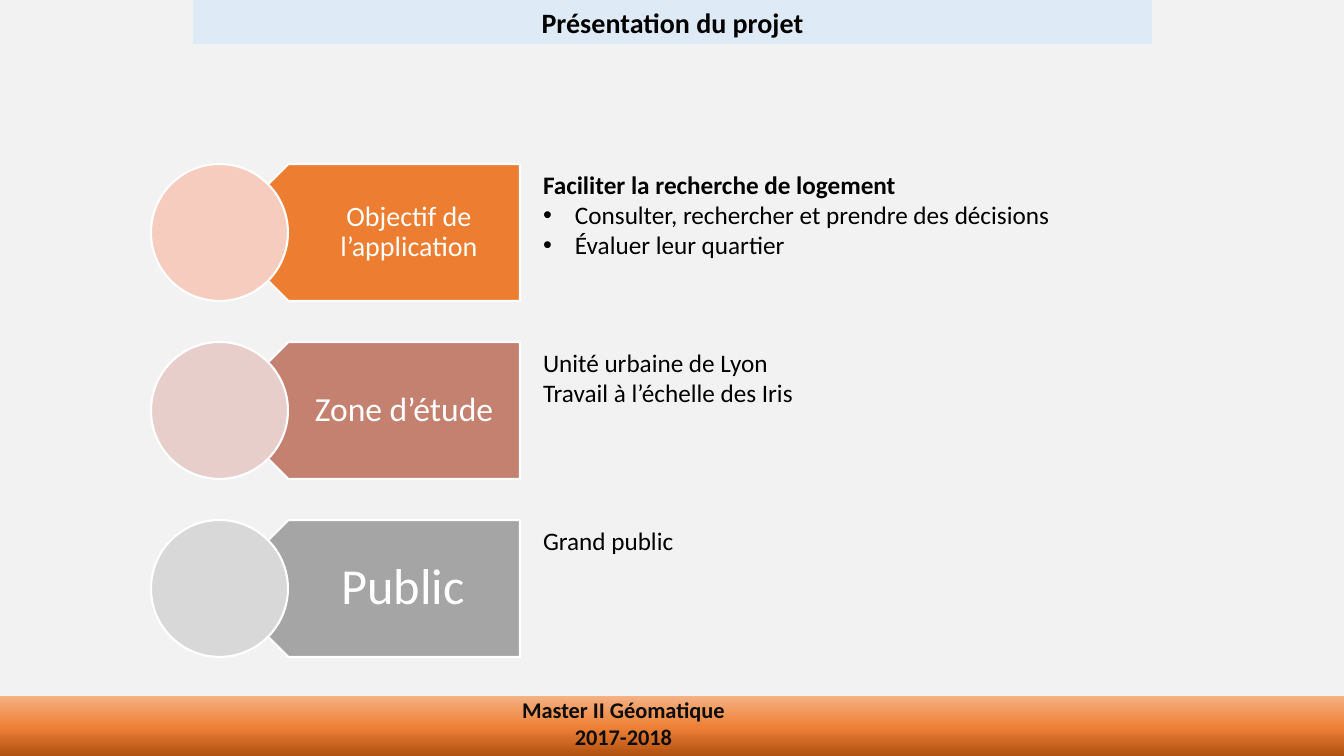
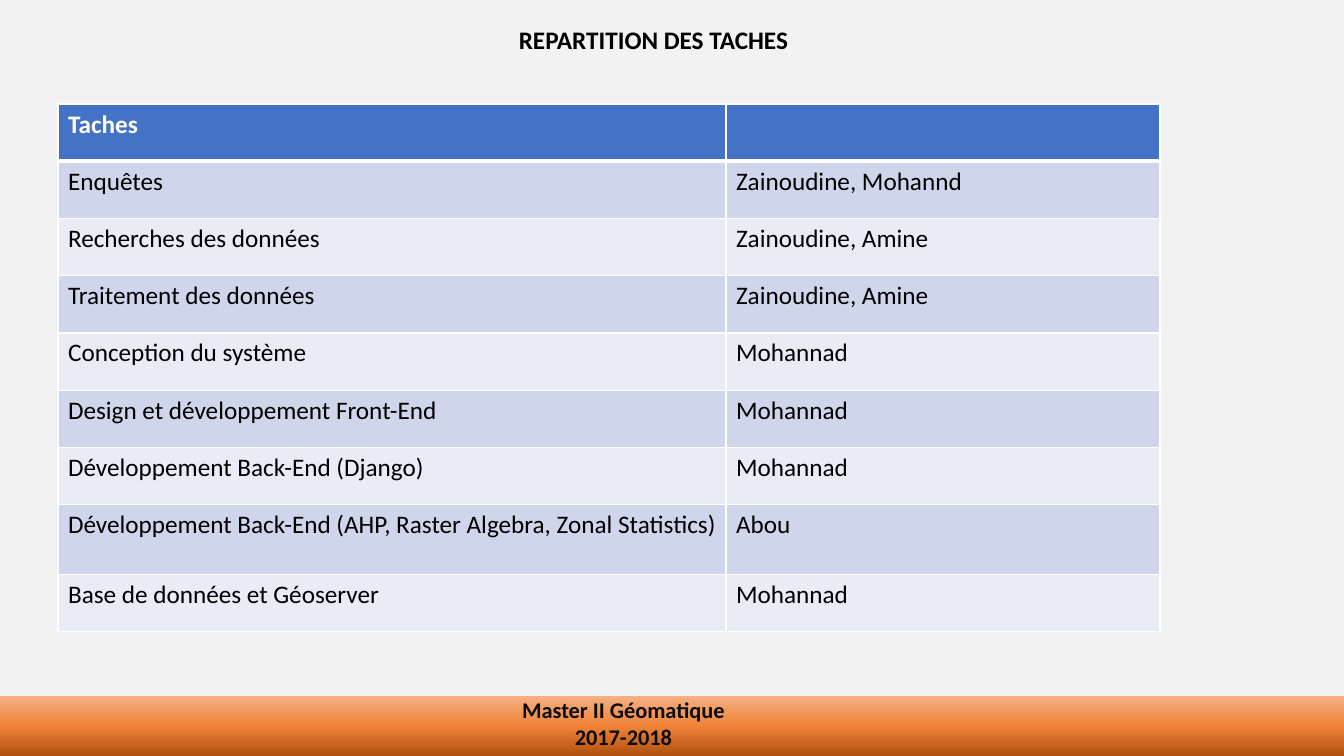
from lxml.etree import SubElement
from pptx import Presentation
from pptx.dml.color import RGBColor
from pptx.enum.shapes import MSO_SHAPE
from pptx.enum.text import MSO_ANCHOR, MSO_AUTO_SIZE, PP_ALIGN
from pptx.oxml import parse_xml
from pptx.oxml.ns import nsdecls, qn
from pptx.util import Emu, Pt

EMU_PER_PX = 914400 / 100.8
PAGE_WIDTH, PAGE_HEIGHT = 1344, 756
FONT = "Calibri"
COLORS = {
    "page": "F2F2F2",
    "black": "000000",
    "white": "FFFFFF",
    "footer_text": "0D0D0D",
    "band_dark": "B0500F",
    "band_middle": "EE8137",
    "band_light": "F4B183",
    "title_band": "DEEBF7",
    "orange": "ED7D31",
    "orange_pale": "F6CCBE",
    "brick": "C48170",
    "brick_pale": "E8CECB",
    "gray": "A5A5A5",
    "gray_pale": "D8D8D8",
    "table_header": "4472C4",
    "table_odd": "CFD5EA",
    "table_even": "E9EBF5",
}
TEXT = {"size": 18, "bold": False, "color": "black"}
STRONG = TEXT | {"bold": True}
HEADER = STRONG | {"color": "white"}
FOOTER = {"size": 16, "bold": True, "color": "footer_text"}

TOPICS = [
    {"label": "Objectif de l’application", "size": 20, "inset": 16,
     "fill": "orange", "pale": "orange_pale", "width": 773, "height": 102,
     "lines": [("Faciliter la recherche de logement", STRONG, False),
               ("Consulter, rechercher et prendre des décisions", TEXT, True),
               ("Évaluer leur quartier", TEXT, True)]},
    {"label": "Zone d’étude", "size": 24, "inset": 26,
     "fill": "brick", "pale": "brick_pale", "width": 320, "height": 72,
     "lines": [("Unité urbaine de Lyon", TEXT, False),
               ("Travail à l’échelle des Iris", TEXT, False)]},
    {"label": "Public", "size": 36, "inset": 28,
     "fill": "gray", "pale": "gray_pale", "width": 320, "height": 40,
     "lines": [("Grand public", TEXT, False)]},
]
TASKS = [
    ("Taches", ""),
    ("Enquêtes", "Zainoudine, Mohannd"),
    ("Recherches des données", "Zainoudine, Amine"),
    ("Traitement des données", "Zainoudine, Amine"),
    ("Conception du système", "Mohannad"),
    ("Design et développement Front-End", "Mohannad"),
    ("Développement Back-End (Django)", "Mohannad"),
    ("Développement Back-End (AHP, Raster Algebra, Zonal Statistics)", "Abou"),
    ("Base de données et Géoserver", "Mohannad"),
]
TALL_ROW, TALL_ROW_HEIGHT = 7, 70


def px(length):
    return Emu(round(length * EMU_PER_PX))


def color(name):
    return RGBColor.from_string(COLORS[name])


def place(shape, box):
    for name, length in zip(("left", "top", "width", "height"), box):
        setattr(shape, name, px(length))


def paint(shape, fill):
    shape.fill.solid()
    shape.fill.fore_color.rgb = color(fill)


def add_span(para, text, style):
    span = para.add_run()
    span.text = text
    values = {"name": FONT, "size": Pt(style["size"]), "bold": style["bold"]}
    for name, value in values.items():
        setattr(span.font, name, value)
    span.font.color.rgb = color(style["color"])


def set_bullet(para, bullet):
    properties = para._p.get_or_add_pPr()
    indent = px(32) if bullet else 0
    properties.set("marL", str(indent))
    properties.set("indent", str(-indent))
    if bullet:
        SubElement(properties, qn("a:buFont"), typeface="Arial")
        SubElement(properties, qn("a:buChar"), char="•")
    else:
        SubElement(properties, qn("a:buNone"))


def write(shape, lines, align=PP_ALIGN.LEFT, anchor=MSO_ANCHOR.TOP, spacing=1.0,
          insets=(10, 5, 10, 5)):
    frame = shape.text_frame
    settings = {"word_wrap": True, "auto_size": MSO_AUTO_SIZE.NONE,
                "vertical_anchor": anchor}
    sides = ("margin_left", "margin_top", "margin_right", "margin_bottom")
    settings.update(zip(sides, map(px, insets)))
    for name, value in settings.items():
        setattr(frame, name, value)
    for index, (text, style, bullet) in enumerate(lines):
        para = frame.add_paragraph() if index else frame.paragraphs[0]
        set_bullet(para, bullet)
        formats = {"alignment": align, "space_before": Pt(0),
                   "space_after": Pt(0), "line_spacing": spacing}
        for name, value in formats.items():
            setattr(para, name, value)
        add_span(para, text, style)


def add_figure(page, kind, box, fill, line=None):
    shape = page.shapes.add_shape(kind, *map(px, box))
    shape.shadow.inherit = False
    paint(shape, fill)
    if line:
        shape.line.color.rgb = color(line)
        shape.line.width = Pt(1.5)
    else:
        shape.line.fill.background()
    return shape


def add_label(page, box, lines, **layout):
    label = page.shapes.add_textbox(*map(px, box))
    write(label, lines, **layout)
    return label


def set_title(page, box, text, size, fill=None):
    title = page.shapes.title
    place(title, box)
    write(title, [(text, STRONG | {"size": size}, False)], PP_ALIGN.CENTER)
    if fill:
        paint(title, fill)


def build_master(deck, page):
    master = deck.slide_master
    paint(master.background, "page")
    band = add_figure(page, MSO_SHAPE.RECTANGLE, (0, 696, PAGE_WIDTH, 60), "band_middle")
    band.fill.gradient()
    band.fill.gradient_angle = 90
    stops = band.element.spPr.find(qn("a:gradFill")).find(qn("a:gsLst"))
    for stop in list(stops):
        stops.remove(stop)
    for position, name in ((0, "band_dark"), (48, "band_middle"), (100, "band_light")):
        stop = SubElement(stops, qn("a:gs"), pos=str(position * 1000))
        SubElement(stop, qn("a:srgbClr"), val=COLORS[name])
    footer = add_label(page, (454, 691, 339, 65),
                       [("Master II Géomatique", FOOTER, False),
                        ("2017-2018", FOOTER, False)], align=PP_ALIGN.CENTER)
    for shape in (band, footer):
        master.shapes.element.append(shape.element)


def add_topic(page, topic, left, top, size, body=None):
    add_plate = (left + size // 2 + 1, top, 300, size)
    plate = add_figure(page, MSO_SHAPE.PENTAGON, add_plate, topic["fill"], "white")
    plate.rotation = 180
    label_style = {"size": topic["size"], "bold": False, "color": "white"}
    add_label(page, (left + 103, top, 266, size), [(topic["label"], label_style, False)],
              align=PP_ALIGN.CENTER, anchor=MSO_ANCHOR.MIDDLE, spacing=0.9,
              insets=(60, 8, topic["inset"], 8))
    add_figure(page, MSO_SHAPE.OVAL, (left, top, size, size), topic["pale"], "white")
    detail_box = (left + 382, top, topic["width"], topic["height"])
    if body is None:
        add_label(page, detail_box, topic["lines"])
    else:
        place(body, detail_box)
        write(body, topic["lines"])


def build_project(page):
    set_title(page, (193, 0, 959, 44), "Présentation du projet", 20, "title_band")
    for index, topic in enumerate(TOPICS):
        body = None if index else page.placeholders[1]
        add_topic(page, topic, 151, 164 + index * 178, 137, body)


def set_borders(cell, top, bottom):
    properties = cell._tc.get_or_add_tcPr()
    for side, width in (("L", 1), ("R", 1), ("T", top), ("B", bottom)):
        properties.append(parse_xml(
            f'<a:ln{side} {nsdecls("a")} w="{Pt(width)}"><a:solidFill>'
            f'<a:srgbClr val="{COLORS["white"]}"/></a:solidFill></a:ln{side}>'))


def add_task_table(page, box):
    table = page.shapes.add_table(len(TASKS), 2, *map(px, box)).table
    for column, width in zip(table.columns, (668, box[2] - 668)):
        column.width = px(width)
    row_height = (box[3] - TALL_ROW_HEIGHT) / (len(TASKS) - 1)
    for index, texts in enumerate(TASKS):
        table.rows[index].height = px(TALL_ROW_HEIGHT if index == TALL_ROW else row_height)
        fill = "table_odd" if index % 2 else "table_even"
        for column, text in enumerate(texts):
            cell = table.cell(index, column)
            cell.margin_right = px(4)
            set_borders(cell, 3 if index == 1 else 1, 1 if index else 3)
            paint(cell, fill if index else "table_header")
            if text:
                add_span(cell.text_frame.paragraphs[0], text, TEXT if index else HEADER)


def build_tasks(page):
    set_title(page, (226, 19, 855, 40), "REPARTITION DES TACHES", 18)
    add_task_table(page, (58, 104, 1102, 528))


def main():
    deck = Presentation()
    deck.slide_width, deck.slide_height = px(PAGE_WIDTH), px(PAGE_HEIGHT)
    project = deck.slides.add_slide(deck.slide_layouts[1])
    build_master(deck, project)
    build_project(project)
    build_tasks(deck.slides.add_slide(deck.slide_layouts[5]))
    deck.save("out.pptx")


if __name__ == "__main__":
    main()
